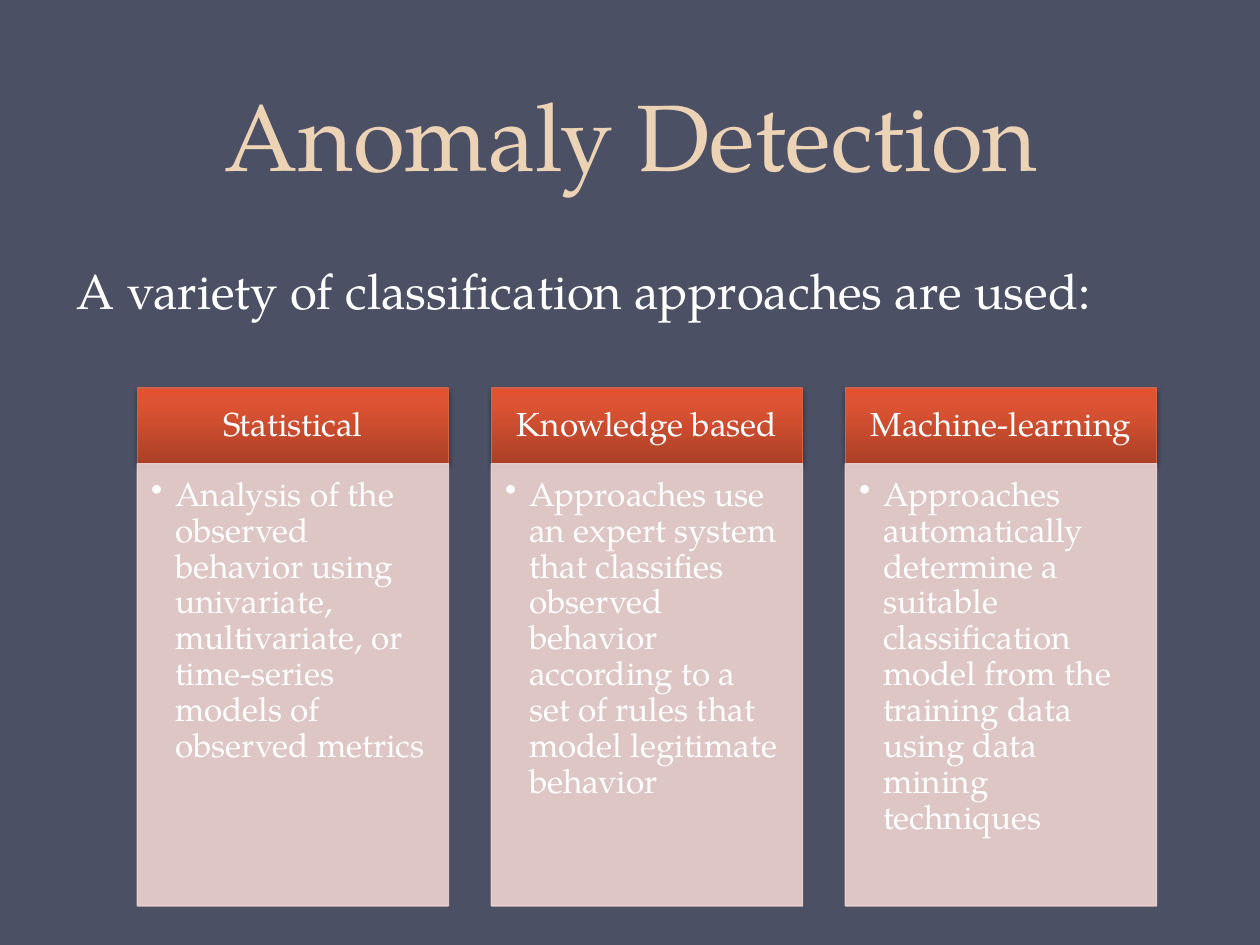
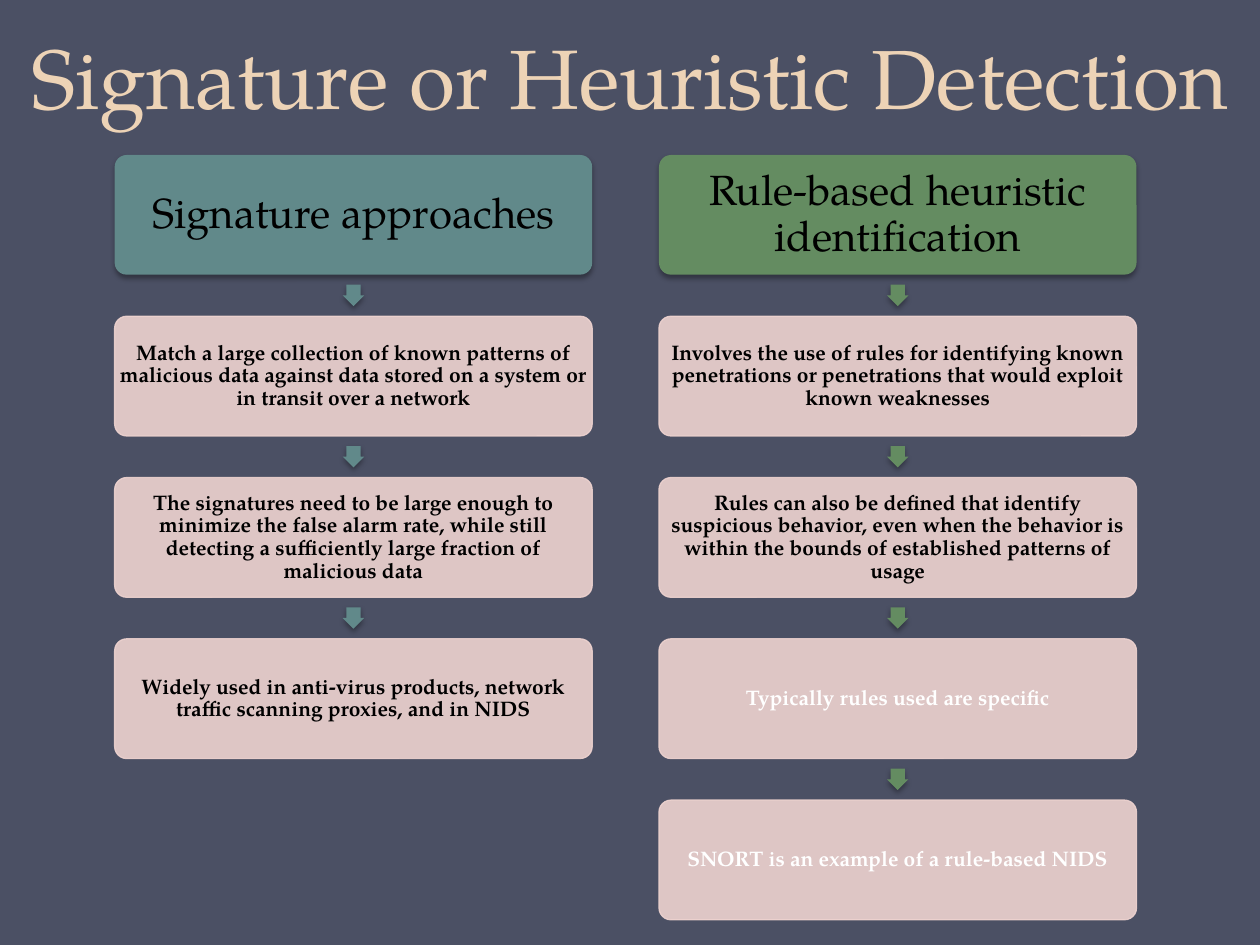
from copy import deepcopy

from lxml.etree import SubElement
from pptx import Presentation
from pptx.dml.color import RGBColor
from pptx.enum.shapes import MSO_SHAPE as Preset
from pptx.enum.text import MSO_ANCHOR as Anchor, MSO_AUTO_SIZE as AutoSize, PP_ALIGN as Align
from pptx.oxml.ns import qn
from pptx.util import Inches, Pt

NAVY = RGBColor(0x4B, 0x50, 0x64)
SAND = RGBColor(0xED, 0xD3, 0xB6)
WHITE = RGBColor(0xFF, 0xFF, 0xFF)
BLACK = RGBColor(0x00, 0x00, 0x00)
PINK = RGBColor(0xEE, 0xD3, 0xD0)
RUST = RGBColor(0xD1, 0x63, 0x49)
TEAL = RGBColor(0x61, 0x89, 0x8A)
GREEN = RGBColor(0x64, 0x8C, 0x61)
HEADER_STOPS = [
    (0, RGBColor(0xAB, 0x40, 0x27)),
    (0.8, RGBColor(0xDE, 0x54, 0x33)),
    (1, RGBColor(0xE3, 0x52, 0x30)),
]
FONT = "TeX Gyre Pagella"
TITLE_LAYOUT, BODY_LAYOUT = 5, 1

APPROACHES = [
    ("Statistical",
     "Analysis of the observed behavior using univariate, multivariate, or "
     "time-series models of observed metrics"),
    ("Knowledge based",
     "Approaches use an expert system that classifies observed behavior "
     "according to a set of rules that model legitimate behavior"),
    ("Machine-learning",
     "Approaches automatically determine a suitable classification model "
     "from the training data using data mining techniques"),
]
CHAINS = [
    ("Signature approaches", TEAL, [
        ("Match a large collection of known patterns of malicious data against "
         "data stored on a system or in transit over a network", BLACK),
        ("The signatures need to be large enough to minimize the false alarm rate, "
         "while still detecting a sufficiently large fraction of malicious data", BLACK),
        ("Widely used in anti-virus products, network traffic scanning proxies, "
         "and in NIDS", BLACK),
    ]),
    ("Rule-based heuristic identification", GREEN, [
        ("Involves the use of rules for identifying known penetrations or "
         "penetrations that would exploit known weaknesses", BLACK),
        ("Rules can also be defined that identify suspicious behavior, even when "
         "the behavior is within the bounds of established patterns of usage", BLACK),
        ("Typically rules used are specific", WHITE),
        ("SNORT is an example of a rule-based NIDS", WHITE),
    ]),
]


def apply_format(target, values):
    for name, value in values.items():
        setattr(target, name, value)


class Deck:
    def __init__(self):
        self.prs = Presentation()
        apply_format(self.prs, {"slide_width": Inches(10), "slide_height": Inches(7.5)})
        background = self.prs.slide_master.background.fill
        background.solid()
        background.fore_color.rgb = NAVY
        self.slide = None

    def new_slide(self, layout, title, box, size):
        self.slide = self.prs.slides.add_slide(self.prs.slide_layouts[layout])
        self.fill_placeholder(self.slide.shapes.title, box, title, size, SAND,
                              anchor=Anchor.BOTTOM, align=Align.CENTER, spacing=Pt(58))

    def fill_placeholder(self, holder, box, text, size, color, **layout):
        names = ("left", "top", "width", "height")
        apply_format(holder, dict(zip(names, map(Inches, box))))
        holder.text_frame.auto_size = AutoSize.NONE
        self.put_text(holder, text, size, color, insets=(0.1, 0.05, 0.1, 0.05), **layout)

    def lead_in(self, text, box):
        body = self.slide.placeholders[1]
        self.fill_placeholder(body, box, text, 28, WHITE, anchor=Anchor.TOP,
                              align=Align.LEFT, spacing=1.0)
        properties = body.text_frame.paragraphs[0]._p.get_or_add_pPr()
        apply_indent(properties, 0, 0)
        SubElement(properties, qn("a:buNone"))

    def put_text(self, shape, text, size, color, insets=(0, 0, 0, 0), bold=False,
                 anchor=Anchor.MIDDLE, align=Align.CENTER, spacing=0.9):
        frame = shape.text_frame
        sides = ("margin_left", "margin_top", "margin_right", "margin_bottom")
        apply_format(frame, dict(zip(sides, map(Inches, insets))))
        apply_format(frame, {"word_wrap": True, "vertical_anchor": anchor})
        paragraph = frame.paragraphs[0]
        apply_format(paragraph, {"alignment": align, "line_spacing": spacing,
                                 "space_before": Pt(0)})
        run = paragraph.add_run()
        run.text = text
        apply_format(run.font, {"name": FONT, "size": Pt(size), "bold": bold})
        run.font.color.rgb = color

    def block(self, preset, box, fill, line=None, adjustments=()):
        shape = self.slide.shapes.add_shape(preset, *map(Inches, box))
        shape.shadow.inherit = False
        for index, value in enumerate(adjustments):
            shape.adjustments[index] = value
        shape.fill.solid()
        shape.fill.fore_color.rgb = fill
        if line is None:
            shape.line.fill.background()
        else:
            shape.line.color.rgb = line
            shape.line.width = Pt(0.75)
        return shape

    def raised_block(self, *args, **options):
        """A block with a soft shadow below it."""
        shape = self.block(*args, **options)
        effects = shape._element.spPr.find(qn("a:effectLst"))
        shadow = SubElement(effects, qn("a:outerShdw"), blurRad=str(Pt(3.1)),
                            dist=str(Pt(1.8)), dir="5400000", rotWithShape="0")
        tint = SubElement(shadow, qn("a:srgbClr"), val=str(BLACK))
        SubElement(tint, qn("a:alpha"), val="35000")
        return shape

    def pale_block(self, preset, box, **options):
        """A pink block, slightly see-through."""
        shape = self.block(preset, box, PINK, PINK, **options)
        for tint in shape._element.spPr.iter(qn("a:srgbClr")):
            SubElement(tint, qn("a:alpha"), val="90000")
        return shape

    def column_header(self, text, box):
        header = self.raised_block(Preset.RECTANGLE, box, RUST, line=RUST)
        header.fill.gradient()
        header.fill.gradient_angle = 90
        stop_list = next(header._element.spPr.iter(qn("a:gsLst")))
        stop_list.append(deepcopy(stop_list[-1]))
        for stop, (position, color) in zip(header.fill.gradient_stops, HEADER_STOPS):
            stop.position = position
            stop.color.rgb = color
        self.put_text(header, text, 19, WHITE, insets=(0.15, 0.08, 0.15, 0.08))

    def column_body(self, text, box):
        body = self.pale_block(Preset.RECTANGLE, box)
        self.put_text(body, text, 19, WHITE, insets=(0.11, 0.11, 0.15, 0.17),
                      anchor=Anchor.TOP, align=Align.LEFT)
        properties = body.text_frame.paragraphs[0]._p.get_or_add_pPr()
        apply_indent(properties, 0.19, -0.19)
        SubElement(properties, qn("a:buChar"), char="•")

    def chain_head(self, text, box, color):
        head = self.raised_block(Preset.ROUNDED_RECTANGLE, box, color, adjustments=[0.1])
        self.put_text(head, text, 24, BLACK)

    def chain_step(self, text, box, color):
        step = self.pale_block(Preset.ROUNDED_RECTANGLE, box, adjustments=[0.1])
        self.put_text(step, text, 12, color, bold=True)

    def down_arrow(self, box, color):
        arrow = self.raised_block(Preset.RIGHT_ARROW, box, color, adjustments=[0.67, 0.5])
        arrow.rotation = 90


def apply_indent(properties, left, first):
    properties.set("marL", str(Inches(left)))
    properties.set("indent", str(Inches(first)))


def anomaly_slide(deck):
    deck.new_slide(BODY_LAYOUT, "Anomaly Detection", (0.51, -0.19, 9, 1.75), 54)
    deck.lead_in("A variety of classification approaches are used:", (0.51, 2.02, 9, 0.9))
    left, top, width, pitch, header_height = 1.09, 3.08, 2.47, 2.81, 0.6
    for column, (name, description) in enumerate(APPROACHES):
        x = left + column * pitch
        deck.column_header(name, (x, top, width, header_height))
        deck.column_body(description, (x, top + header_height, width, 3.51))


def signature_slide(deck):
    deck.new_slide(TITLE_LAYOUT, "Signature or Heuristic Detection", (0, -0.42, 10, 1.47), 48)
    left, top, width, height = 0.91, 1.23, 3.79, 0.95
    column_pitch, row_pitch, arrow_size = 4.32, 1.28, 0.17
    arrow_rise = (row_pitch - height + arrow_size) / 2
    for column, (heading, color, steps) in enumerate(CHAINS):
        x = left + column * column_pitch
        deck.chain_head(heading, (x, top, width, height), color)
        for row, (step, text_color) in enumerate(steps, start=1):
            y = top + row * row_pitch
            deck.down_arrow((x + (width - arrow_size) / 2, y - arrow_rise,
                             arrow_size, arrow_size), color)
            deck.chain_step(step, (x, y, width, height), text_color)


def main():
    deck = Deck()
    anomaly_slide(deck)
    signature_slide(deck)
    deck.prs.save("out.pptx")


if __name__ == "__main__":
    main()
